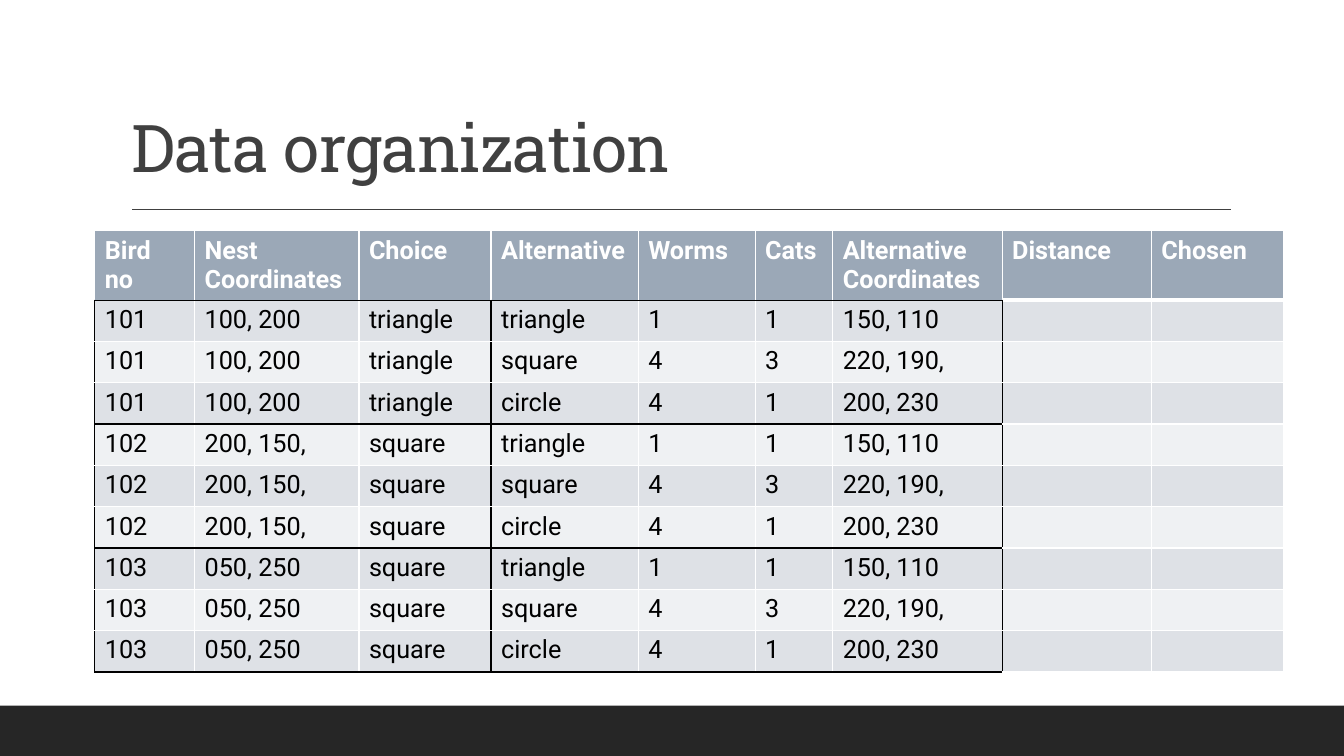
from dataclasses import dataclass

from lxml import etree
from pptx import Presentation
from pptx.dml.color import RGBColor
from pptx.enum.shapes import MSO_CONNECTOR, MSO_SHAPE
from pptx.enum.text import MSO_ANCHOR, MSO_AUTO_SIZE, PP_ALIGN
from pptx.oxml.ns import qn
from pptx.util import Inches, Pt

STRAIGHT = MSO_CONNECTOR.STRAIGHT
RECTANGLE = MSO_SHAPE.RECTANGLE
BOTTOM = MSO_ANCHOR.BOTTOM
NO_AUTOFIT = MSO_AUTO_SIZE.NONE
LEFT = PP_ALIGN.LEFT

COLORS = {
    "band": "262626",
    "title": "404040",
    "header": "9BA8B7",
    "odd_row": "DEE1E6",
    "even_row": "EFF1F3",
    "white": "FFFFFF",
    "black": "000000",
}
ROW_HEIGHT = 0.41
FRAMED_COLUMNS = 7
GROUP_SIZE = 3
FRAME_VERTICALS = (0, 3, FRAMED_COLUMNS)


@dataclass(frozen=True)
class Column:
    heading: str
    width: float


@dataclass(frozen=True)
class Bird:
    number: str
    nest: str
    choice: str


@dataclass(frozen=True)
class Alternative:
    shape: str
    worms: str
    cats: str
    coordinates: str


COLUMNS = [
    Column("Bird no", 0.99),
    Column("Nest Coordinates", 1.63),
    Column("Choice", 1.31),
    Column("Alternative", 1.46),
    Column("Worms", 1.16),
    Column("Cats", 0.77),
    Column("Alternative\nCoordinates", 1.68),
    Column("Distance", 1.48),
    Column("Chosen", 1.31),
]
BIRDS = [
    Bird("101", "100, 200", "triangle"),
    Bird("102", "200, 150,", "square"),
    Bird("103", "050, 250", "square"),
]
ALTERNATIVES = [
    Alternative("triangle", "1", "1", "150, 110"),
    Alternative("square", "4", "3", "220, 190,"),
    Alternative("circle", "4", "1", "200, 230"),
]


def rgb(name: str) -> RGBColor:
    return RGBColor.from_string(COLORS[name])


def add_title(slide) -> None:
    title = slide.shapes.title
    title.left, title.top = Inches(1.2), Inches(0.31)
    title.width, title.height = Inches(11), Inches(1.59)
    frame = title.text_frame
    frame.text = "Data organization"
    frame.auto_size = NO_AUTOFIT
    frame.vertical_anchor = BOTTOM
    paragraph = frame.paragraphs[0]
    paragraph.alignment = LEFT
    paragraph.line_spacing = 0.9
    run = paragraph.runs[0]
    run.font.name = "Roboto Slab"
    run.font.size = Pt(47)
    run.font.color.rgb = rgb("title")
    run.font._element.set("spc", "-50")


def add_footer_band(slide) -> None:
    band = slide.shapes.add_shape(
        RECTANGLE, Inches(0), Inches(7), Inches(13.33), Inches(0.5))
    band.shadow.inherit = False
    band.fill.solid()
    band.fill.fore_color.rgb = rgb("band")
    band.line.fill.background()


def add_title_rule(slide) -> None:
    rule = slide.shapes.add_connector(
        STRAIGHT, Inches(1.31), Inches(2.08), Inches(12.21), Inches(2.08))
    rule.line.color.rgb = rgb("title")
    rule.line.width = Pt(1)
    etree.SubElement(rule._element.spPr, qn("a:effectLst"))


def add_border(cell, side: str, color: str, points: int) -> None:
    properties = cell._tc.get_or_add_tcPr()
    border = etree.SubElement(
        properties, qn(f"a:ln{side}"), w=str(Pt(points)), cmpd="sng")
    fill = etree.SubElement(border, qn("a:solidFill"))
    etree.SubElement(fill, qn("a:srgbClr"), val=COLORS[color])


def vertical_color(edge: int, row: int) -> str:
    return "black" if row > 0 and edge in FRAME_VERTICALS else "white"


def horizontal_color(edge: int, column: int) -> str:
    framed = column < FRAMED_COLUMNS and edge % GROUP_SIZE == 1
    return "black" if framed else "white"


def format_cell(cell, row: int, column: int) -> None:
    is_header = row == 0
    bottom_width = 3 if is_header and column >= FRAMED_COLUMNS else 1
    add_border(cell, "L", vertical_color(column, row), 1)
    add_border(cell, "R", vertical_color(column + 1, row), 1)
    add_border(cell, "T", horizontal_color(row, column), 1)
    add_border(cell, "B", horizontal_color(row + 1, column), bottom_width)
    cell.fill.solid()
    row_fill = "odd_row" if row % 2 else "even_row"
    cell.fill.fore_color.rgb = rgb("header" if is_header else row_fill)
    for paragraph in cell.text_frame.paragraphs:
        paragraph.font.size = Pt(18)
        for run in paragraph.runs:
            run.font.name = "Roboto"
            run.font.size = Pt(18)
            run.font.bold = is_header
            run.font.color.rgb = rgb("white" if is_header else "black")


def add_bird_table(slide) -> None:
    rows = [[column.heading for column in COLUMNS]]
    rows += [
        [bird.number, bird.nest, bird.choice, option.shape,
         option.worms, option.cats, option.coordinates, "", ""]
        for bird in BIRDS for option in ALTERNATIVES
    ]
    table = slide.shapes.add_table(
        len(rows), len(COLUMNS), Inches(0.94), Inches(2.29),
        Inches(sum(column.width for column in COLUMNS)),
        Inches(ROW_HEIGHT * len(rows))).table
    for table_column, column in zip(table.columns, COLUMNS):
        table_column.width = Inches(column.width)
    for row, values in enumerate(rows):
        table.rows[row].height = Inches(ROW_HEIGHT)
        for column, value in enumerate(values):
            cell = table.cell(row, column)
            cell.text_frame.text = value
            format_cell(cell, row, column)


def main() -> None:
    presentation = Presentation()
    presentation.slide_width = Inches(13.33)
    presentation.slide_height = Inches(7.5)
    slide = presentation.slides.add_slide(presentation.slide_layouts[5])
    add_footer_band(slide)
    add_title_rule(slide)
    add_title(slide)
    add_bird_table(slide)
    presentation.save("out.pptx")


if __name__ == "__main__":
    main()
